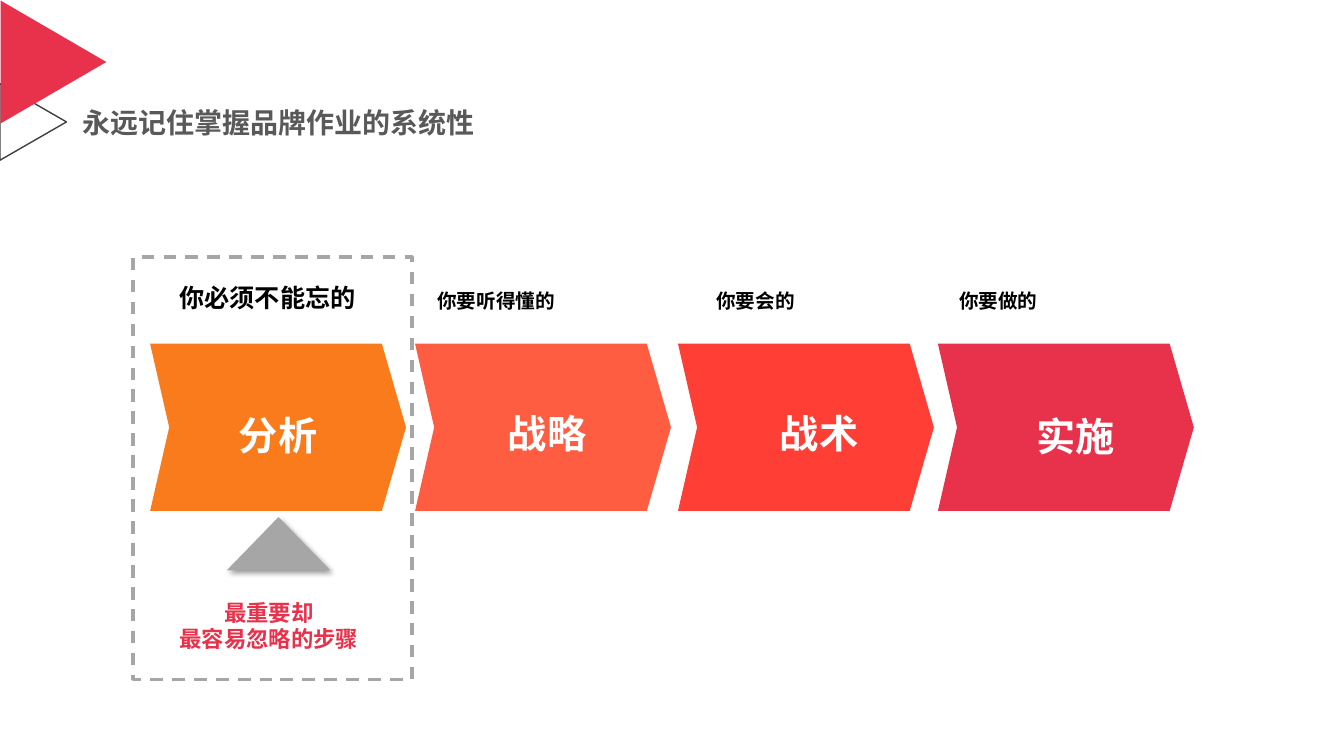
from dataclasses import dataclass
from typing import Optional

from lxml.etree import SubElement
from pptx import Presentation
from pptx.dml.color import RGBColor
from pptx.enum.dml import MSO_LINE
from pptx.enum.shapes import MSO_SHAPE
from pptx.enum.text import MSO_ANCHOR, MSO_AUTO_SIZE, PP_ALIGN
from pptx.oxml.ns import qn
from pptx.util import Inches, Pt

FONT = "Noto Sans CJK SC"
CRIMSON = "E8314A"
GREY = "A6A6A6"
CHEVRON_TOP = 3.41
CHEVRON_OUTLINE = [(2.3, 1.66), (0, 1.66), (0.19, 0.83), (0, 0), (2.3, 0), (2.54, 0.83)]
PADDING = (0.13, 0.07, 0.13, 0.07)


@dataclass
class Label:
    lines: list[str]
    box: tuple[float, float, float, float]
    size: int
    color: str
    align: PP_ALIGN = PP_ALIGN.LEFT
    anchor: MSO_ANCHOR = MSO_ANCHOR.MIDDLE
    padding: tuple[float, float, float, float] = PADDING
    wrap: bool = True
    spacing: Optional[float] = None


@dataclass
class Stage:
    name: str
    left: float
    color: str
    name_at: tuple[float, float]
    hint: str
    hint_left: float
    hint_size: int = 14


@dataclass
class Figure:
    preset: MSO_SHAPE
    box: tuple[float, float, float, float]
    fill: Optional[str] = None
    line: Optional[str] = None
    line_width: float = 1
    dash: Optional[MSO_LINE] = None
    rotation: float = 0


STAGES = [
    Stage("分析", 1.49, "FA7B1C", (1.83, 3.9), "你必须不能忘的", 1.65, 18),
    Stage("战略", 4.12, "FF5D42", (4.5, 3.88), "你要听得懂的", 4.21),
    Stage("战术", 6.73, "FF3E36", (7.2, 3.88), "你要会的", 6.98),
    Stage("实施", 9.31, CRIMSON, (9.75, 3.91), "你要做的", 9.39),
]
CORNER = [
    Figure(MSO_SHAPE.ISOSCELES_TRIANGLE, (-0.05, 0.88, 0.76, 0.66), line="404040", rotation=90),
    Figure(MSO_SHAPE.ISOSCELES_TRIANGLE, (-0.08, 0.09, 1.22, 1.05), fill=CRIMSON, rotation=90),
]
POINTER = Figure(MSO_SHAPE.ISOSCELES_TRIANGLE, (2.25, 5.13, 1.03, 0.53), fill=GREY)
FRAME = Figure(MSO_SHAPE.RECTANGLE, (1.32, 2.55, 2.77, 4.19), line=GREY,
               line_width=2.25, dash=MSO_LINE.DASH)
TITLE = Label(["永远记住掌握品牌作业的系统性"], (0.77, 1.03, 4.03, 0.41), 20, "595959",
              padding=(0.05,) * 4, wrap=False, spacing=0.9)
REMINDER = Label(["最重要却", "最容易忽略的步骤"], (1.64, 5.87, 2.06, 0.67), 16, CRIMSON,
                 align=PP_ALIGN.CENTER, anchor=MSO_ANCHOR.TOP, wrap=False)


def rgb(value: str) -> RGBColor:
    return RGBColor.from_string(value)


def apply_format(target, values: dict) -> None:
    for name, value in values.items():
        setattr(target, name, value)


def paint(shape, fill: Optional[str], line: Optional[str]) -> None:
    shape.shadow.inherit = False
    for part, color in ((shape.fill, fill), (shape.line.fill, line)):
        if color:
            part.solid()
            part.fore_color.rgb = rgb(color)
        else:
            part.background()


def draw_figure(slide, figure: Figure):
    shape = slide.shapes.add_shape(figure.preset, *map(Inches, figure.box))
    paint(shape, figure.fill, figure.line)
    shape.rotation = figure.rotation
    if figure.line:
        apply_format(shape.line, {"width": Pt(figure.line_width), "dash_style": figure.dash})
    return shape


def cast_shadow(shape) -> None:
    effects = shape._element.spPr.find(qn("a:effectLst"))
    shadow = SubElement(effects, qn("a:outerShdw"), blurRad=str(Pt(4)), dist=str(Pt(3)),
                        dir=str(45 * 60000), algn="tl", rotWithShape="0")
    color = SubElement(shadow, qn("a:srgbClr"), val="000000")
    SubElement(color, qn("a:alpha"), val="40000")


def draw_chevron(slide, stage: Stage) -> None:
    corners = [(Inches(stage.left + x), Inches(CHEVRON_TOP + y)) for x, y in CHEVRON_OUTLINE]
    builder = slide.shapes.build_freeform(*corners[0])
    builder.add_line_segments(corners[1:], close=True)
    paint(builder.convert_to_shape(), stage.color, None)


def write_label(slide, label: Label) -> None:
    frame = slide.shapes.add_textbox(*map(Inches, label.box)).text_frame
    left, top, right, bottom = map(Inches, label.padding)
    apply_format(frame, {
        "margin_left": left, "margin_top": top, "margin_right": right, "margin_bottom": bottom,
        "vertical_anchor": label.anchor, "word_wrap": label.wrap,
        "auto_size": MSO_AUTO_SIZE.NONE if label.wrap else MSO_AUTO_SIZE.SHAPE_TO_FIT_TEXT,
    })
    for index, line in enumerate(label.lines):
        paragraph = frame.add_paragraph() if index else frame.paragraphs[0]
        apply_format(paragraph, {"alignment": label.align, "line_spacing": label.spacing})
        run = paragraph.add_run()
        run.text = line
        apply_format(run.font, {"name": FONT, "size": Pt(label.size), "bold": True})
        run.font.color.rgb = rgb(label.color)
        SubElement(run.font._element, qn("a:ea"), typeface=FONT)


def main() -> None:
    deck = Presentation()
    apply_format(deck, {"slide_width": Inches(13.34), "slide_height": Inches(7.5)})
    slide = deck.slides.add_slide(deck.slide_layouts[6])
    for triangle in CORNER:
        draw_figure(slide, triangle)
    for stage in STAGES:
        draw_chevron(slide, stage)
        write_label(slide, Label([stage.name], (*stage.name_at, 1.86, 0.82), 28, "FFFFFF",
                                 align=PP_ALIGN.CENTER))
        write_label(slide, Label([stage.hint], (stage.hint_left, 1.92, 2.09, 1.25),
                                 stage.hint_size, "000000", anchor=MSO_ANCHOR.BOTTOM))
    write_label(slide, TITLE)
    cast_shadow(draw_figure(slide, POINTER))
    write_label(slide, REMINDER)
    draw_figure(slide, FRAME)
    deck.save("out.pptx")


if __name__ == "__main__":
    main()
